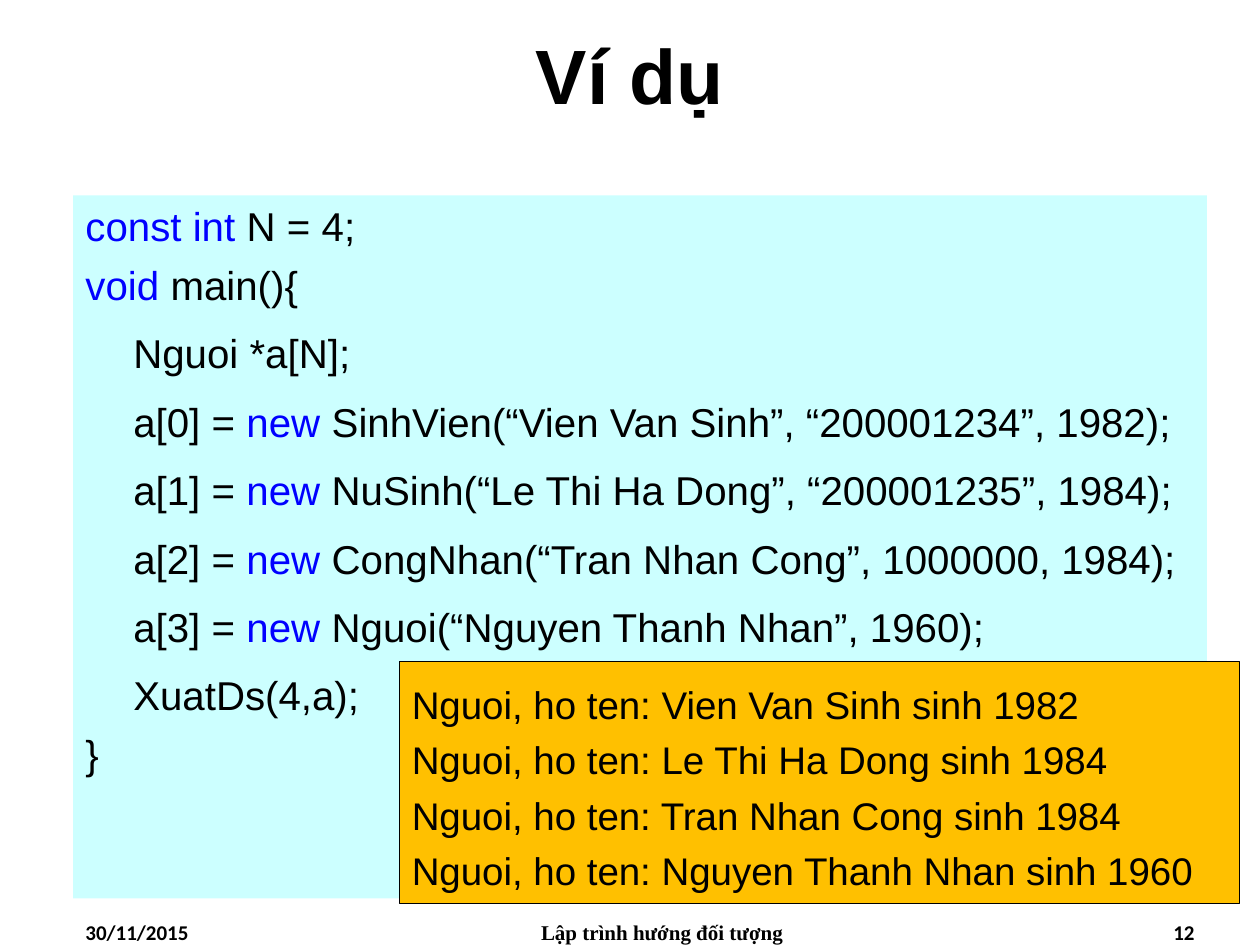
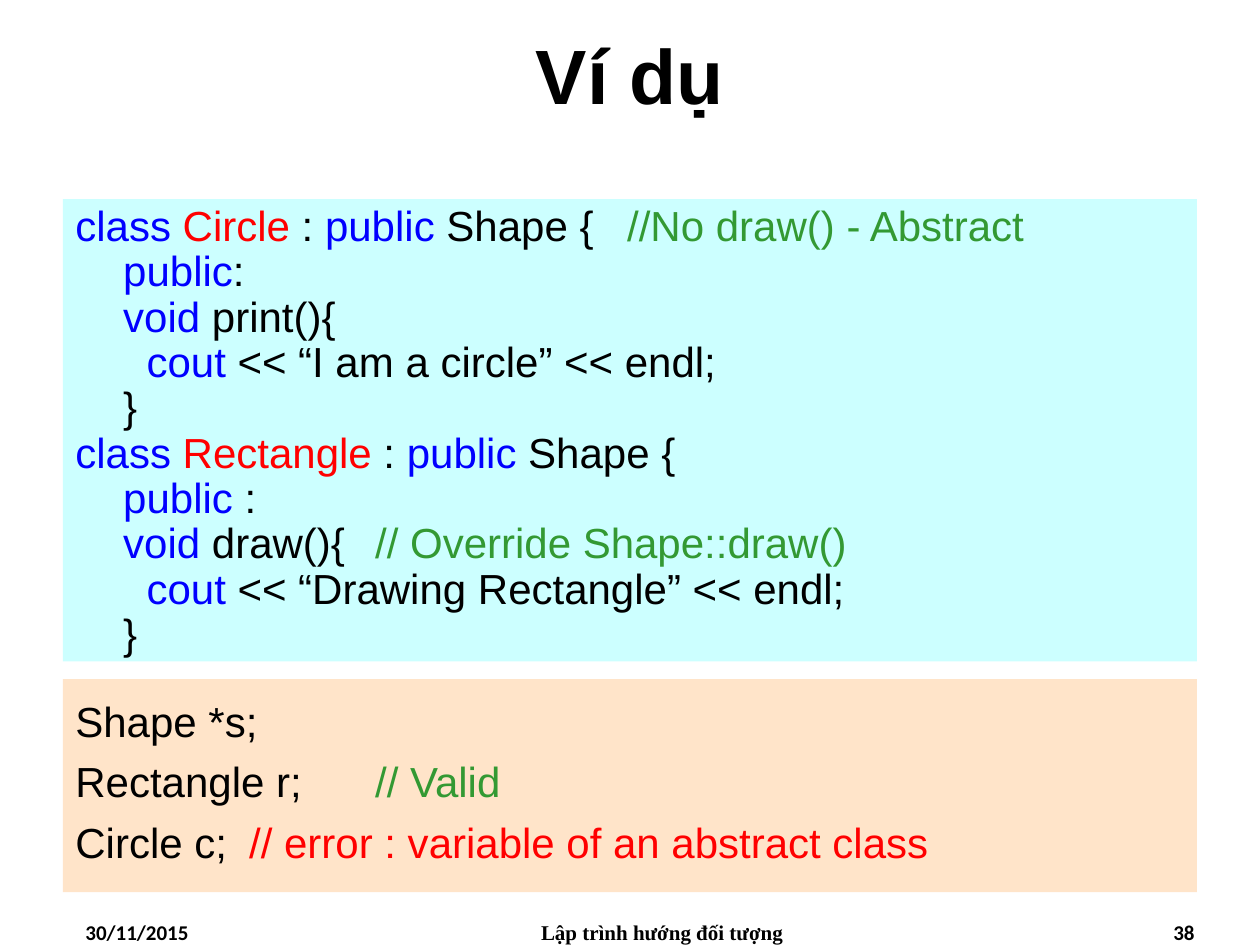
from pptx import Presentation
from pptx.dml.color import RGBColor
from pptx.enum.shapes import MSO_SHAPE
from pptx.enum.text import MSO_ANCHOR, PP_ALIGN
from pptx.util import Inches, Pt

BLACK, BLUE, RED, GREEN = "000000", "0000FF", "FF0000", "339933"
CODE_FILL = "CCFFFF"
INDENT = 0.38
rgb = RGBColor.from_string


def add_box(s, left, top, width, height, fill=None, line=None, anchor=MSO_ANCHOR.TOP):
    """Add a rectangle and return its text frame."""
    sp = s.shapes.add_shape(MSO_SHAPE.RECTANGLE, Inches(left), Inches(top),
                            Inches(width), Inches(height))
    sp.shadow.inherit = False
    if fill:
        sp.fill.solid()
        sp.fill.fore_color.rgb = rgb(fill)
    else:
        sp.fill.background()
    if line:
        sp.line.color.rgb = rgb(line)
        sp.line.width = Pt(0.75)
    else:
        sp.line.fill.background()
    tf = sp.text_frame
    tf.word_wrap = True
    tf.vertical_anchor = anchor
    return tf


def add_text(tf, *runs, size=24, font="Arial", bold=False, align=PP_ALIGN.LEFT,
             left=0, first=0, spacing=1.0, before=0):
    """Add one paragraph; a run is plain text (black) or a (text, colour) pair."""
    p = tf.add_paragraph() if tf.text else tf.paragraphs[0]
    p.alignment = align
    p.line_spacing = spacing
    p.space_before = Pt(before)
    pPr = p._p.get_or_add_pPr()
    pPr.set("marL", str(Inches(left)))
    pPr.set("indent", str(Inches(first)))
    for run in runs:
        text, color = (run, BLACK) if isinstance(run, str) else run
        for i, part in enumerate(text.split("\n")):
            if i:
                p.add_line_break()
            if part:
                r = p.add_run()
                r.text = part
                r.font.size = Pt(size)
                r.font.name = font
                r.font.bold = bold
                r.font.color.rgb = rgb(color)


prs = Presentation()
prs.slide_width, prs.slide_height = Inches(10), Inches(7.5)

# Title and footers shared by both slides
slides = []
for number in ("12", "38"):
    s = prs.slides.add_slide(prs.slide_layouts[6])
    slides.append(s)
    title = add_box(s, 0, 0, 10, 1.17, anchor=MSO_ANCHOR.MIDDLE)
    add_text(title, "Ví dụ", size=44, bold=True, align=PP_ALIGN.CENTER)
    for left, width, text, font, align in (
            (0.58, 2.33, "30/11/2015", "Calibri", PP_ALIGN.LEFT),
            (3.67, 3.17, "Lập trình hướng đối tượng", "Times New Roman", PP_ALIGN.CENTER),
            (7.25, 2.33, number, "Calibri", PP_ALIGN.RIGHT)):
        footer = add_box(s, left, 7.25, width, 0.25)
        add_text(footer, text, size=12, font=font, bold=True, align=align)
array_slide, abstract_slide = slides

# Array of pointers and its output
code = add_box(array_slide, 0.58, 1.55, 9, 5.58, CODE_FILL)
add_text(code, ("const int", BLUE), " N = 4;", size=23)
add_text(code, ("void", BLUE), " main(){", size=23, before=6)
new = ("new ", BLUE)
for statement in (
        ["Nguoi *a[N];"],
        ["a[0] = ", new, "SinhVien(“Vien Van Sinh”, “200001234”, 1982);"],
        ["a[1] = ", new, "NuSinh(“Le Thi Ha Dong”, “200001235”, 1984);"],
        ["a[2] = ", new, "CongNhan(“Tran Nhan Cong”, 1000000, 1984);"],
        ["a[3] = ", new, "Nguoi(“Nguyen Thanh Nhan”, 1960);"],
        ["XuatDs(4,a);"]):
    add_text(code, *statement, size=23, left=INDENT, spacing=1.2, before=6)
add_text(code, "}", size=23, before=6)

output = add_box(array_slide, 3.17, 5.25, 6.67, 1.92, "FFC000", BLACK, MSO_ANCHOR.MIDDLE)
for person in ("Vien Van Sinh sinh 1982", "Le Thi Ha Dong sinh 1984",
               "Tran Nhan Cong sinh 1984", "Nguyen Thanh Nhan sinh 1960"):
    add_text(output, f"Nguoi, ho ten: {person}", size=22, spacing=1.2)

# Abstract and concrete classes, then their use
classes = add_box(abstract_slide, 0.5, 1.58, 9, 3.67, CODE_FILL)
for name, opening, comment, access, method, remark, message in (
        ("Circle", " Shape { \t", "//No draw() - Abstract", ":\n",
         " print(){", "", "I am a circle"),
        ("Rectangle", " Shape {", "", " :\n",
         " draw(){ \t", "// Override Shape::draw()", "Drawing Rectangle")):
    add_text(classes, ("class ", BLUE), (name, RED), " : ", ("public", BLUE), opening,
             (comment + "\n", GREEN), ("public", BLUE), access, ("void", BLUE), method,
             (remark + "\n  ", GREEN), ("cout", BLUE), f" << “{message}” << endl;\n}}",
             left=INDENT, first=-INDENT, spacing=0.9)

usage = add_box(abstract_slide, 0.5, 5.39, 9, 1.69, "FFE4C9")
for declaration in (
        ["Shape *s;"],
        ["Rectangle r; \t", ("// Valid", GREEN)],
        ["Circle c; \t", ("// error : variable of an abstract class", RED)]):
    add_text(usage, *declaration, left=INDENT, first=-INDENT, spacing=1.2)

prs.save("out.pptx")
